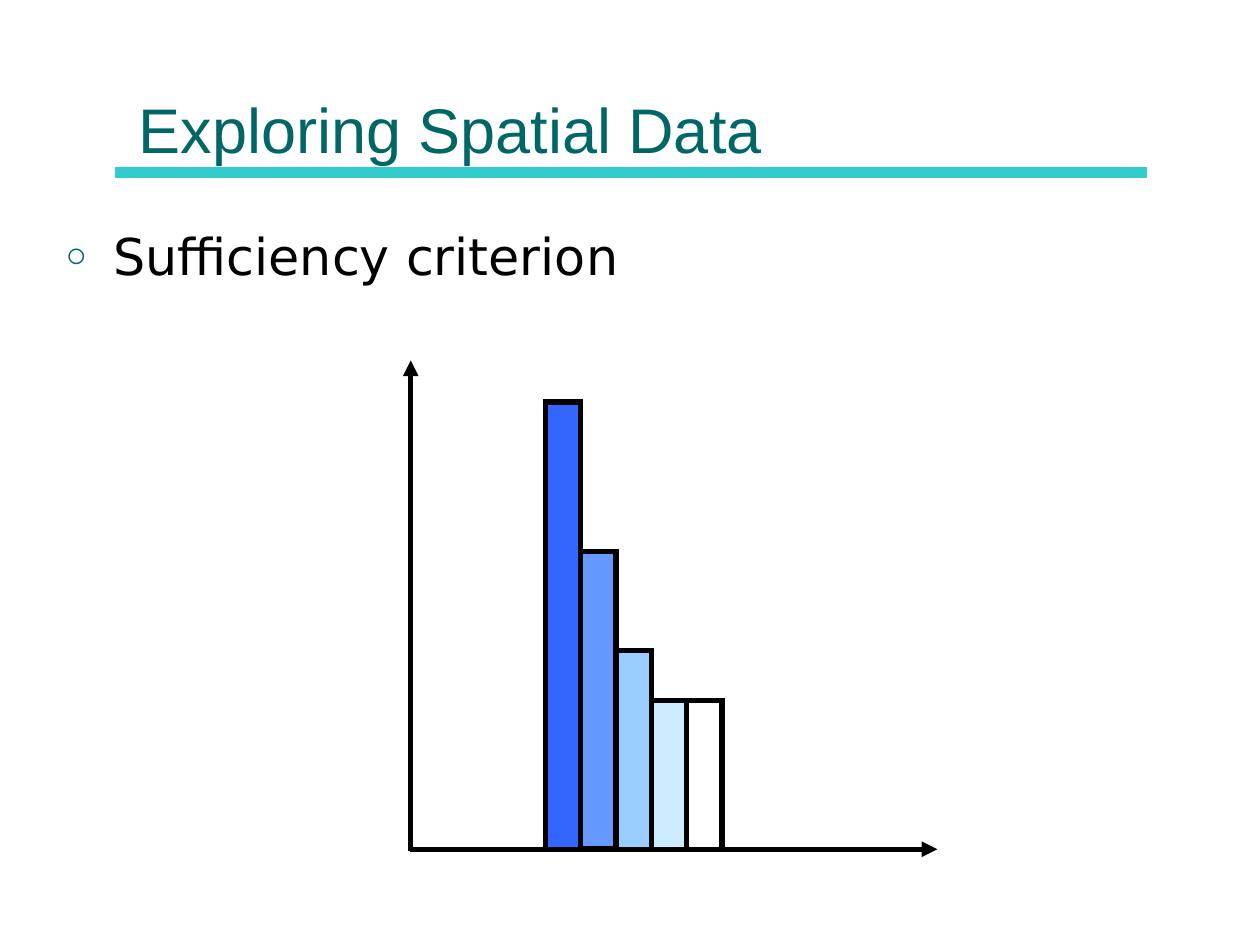
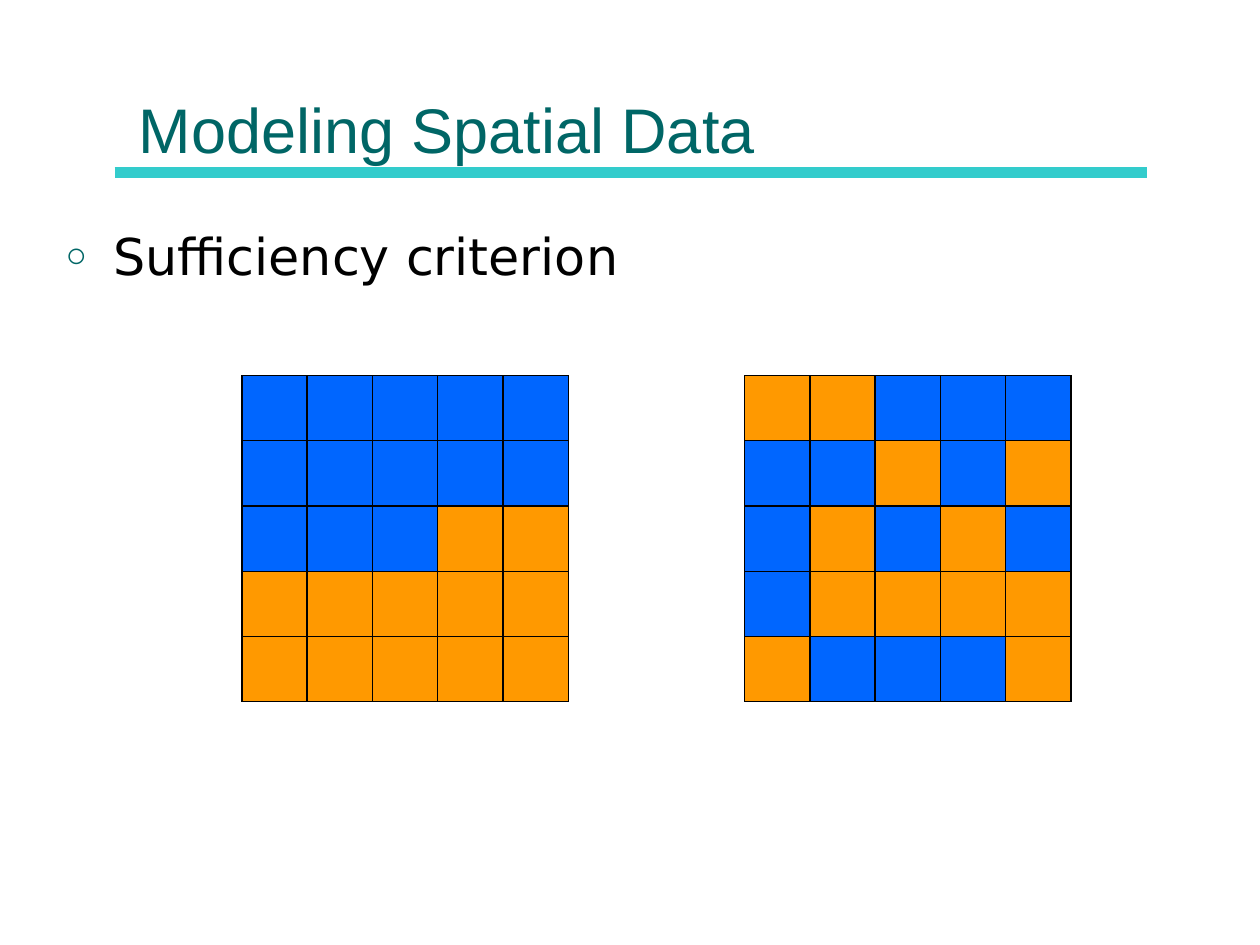
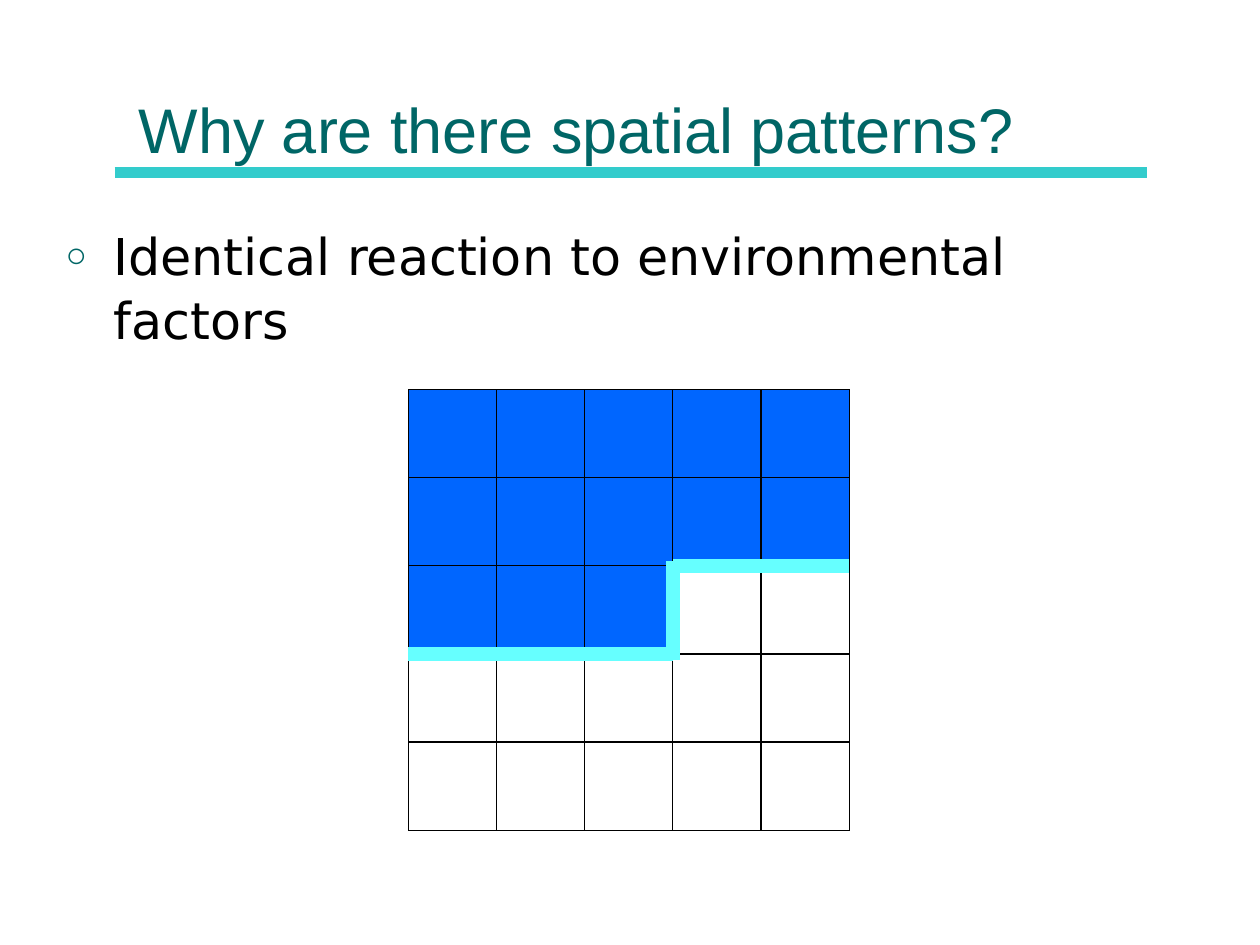
from lxml.etree import SubElement
from pptx import Presentation
from pptx.dml.color import RGBColor
from pptx.enum.shapes import MSO_CONNECTOR, MSO_SHAPE
from pptx.enum.text import MSO_ANCHOR, MSO_AUTO_SIZE, PP_ALIGN
from pptx.oxml.ns import qn
from pptx.util import Inches, Pt

TEAL = RGBColor(0x00, 0x66, 0x66)
TURQUOISE = RGBColor(0x33, 0xCC, 0xCC)
AQUA = RGBColor(0x66, 0xFF, 0xFF)
BLACK = RGBColor(0x00, 0x00, 0x00)
WHITE = RGBColor(0xFF, 0xFF, 0xFF)
BLUE = RGBColor(0x00, 0x66, 0xFF)
ORANGE = RGBColor(0xFF, 0x99, 0x00)
ROYAL = RGBColor(0x33, 0x66, 0xFF)
CORNFLOWER = RGBColor(0x66, 0x99, 0xFF)
SKY = RGBColor(0x99, 0xCC, 0xFF)
ICE = RGBColor(0xCC, 0xEC, 0xFF)

HEADINGS = [
    ("Exploring Spatial Data", "Sufficiency criterion"),
    ("Modeling Spatial Data", "Sufficiency criterion"),
    ("Why are there spatial patterns?", "Identical reaction to environmental factors"),
]

BARS = [(3.55, ROYAL), (2.36, CORNFLOWER), (1.58, SKY), (1.18, ICE), (1.18, WHITE)]
BAR_LEFT, BAR_WIDTH, BASELINE = 4.33, 0.28, 6.74
AXES = [(3.26, 6.75, 3.26, 2.86), (3.25, BASELINE, 7.44, BASELINE)]

CELL_COLOURS = {"B": BLUE, "O": ORANGE, "W": WHITE}
CLUSTERED = ["BBBBB", "BBBBB", "BBBOO", "OOOOO", "OOOOO"]
SCATTERED = ["OOBBB", "BBOBO", "BOBOB", "BOOOO", "OBBBO"]
REGION = ["BBBBB", "BBBBB", "BBBWW", "WWWWW", "WWWWW"]
BOUNDARY = [(3.24, 5.19, 5.34, 5.19), (5.34, 4.49, 6.74, 4.49), (5.34, 4.45, 5.34, 5.24)]


def write_text(box, text, *, frame, font, size, colour, anchor, bullet=False):
    box.left, box.top, box.width, box.height = map(Inches, frame)
    text_frame = box.text_frame
    text_frame.word_wrap = True
    text_frame.auto_size = MSO_AUTO_SIZE.NONE
    text_frame.vertical_anchor = anchor
    para = text_frame.paragraphs[0]
    para.alignment = PP_ALIGN.LEFT
    if bullet:
        add_bullet(para)
    para.space_before = Pt(0)
    span = para.add_run()
    span.text = text
    span.font.name = font
    span.font.size = Pt(size)
    span.font.color.rgb = colour


def add_bullet(para):
    para.line_spacing = 1.05
    properties = para._p.get_or_add_pPr()
    properties.set("marL", str(Inches(0.38)))
    properties.set("indent", str(-Inches(0.38)))
    colour = SubElement(properties, qn("a:buClr"))
    SubElement(colour, qn("a:srgbClr"), val=str(TEAL))
    SubElement(properties, qn("a:buSzPct"), val="70000")
    SubElement(properties, qn("a:buFont"), typeface="Arial")
    SubElement(properties, qn("a:buChar"), char="○")


def add_line(page, ends, colour, width, arrow=False):
    line = page.shapes.add_connector(MSO_CONNECTOR.STRAIGHT, *map(Inches, ends))
    line.line.color.rgb = colour
    line.line.width = Pt(width)
    properties = line.element.spPr
    if arrow:
        SubElement(properties.find(qn("a:ln")), qn("a:tailEnd"), type="triangle")
    SubElement(properties, qn("a:effectLst"))
    return line


def add_rectangle(page, frame, fill, line_width):
    box = page.shapes.add_shape(MSO_SHAPE.RECTANGLE, *map(Inches, frame))
    box.shadow.inherit = False
    box.fill.solid()
    box.fill.fore_color.rgb = fill
    box.line.color.rgb = BLACK
    box.line.width = Pt(line_width)
    SubElement(box.element.spPr.find(qn("a:ln")), qn("a:miter"), lim="800000")


def add_grid(page, rows, left, top, cell):
    for row, letters in enumerate(rows):
        for column, letter in enumerate(letters):
            frame = (left + column * cell, top + row * cell, cell, cell)
            add_rectangle(page, frame, CELL_COLOURS[letter], 0.75)


def add_page(deck, title, criterion):
    page = deck.slides.add_slide(deck.slide_layouts[1])
    write_text(page.shapes.title, title, frame=(1, 0.12, 8, 1.25), font="Arial",
               size=36, colour=TEAL, anchor=MSO_ANCHOR.BOTTOM)
    write_text(page.placeholders[1], criterion, frame=(0.42, 1.71, 9.13, 4.5),
               font="DejaVu Sans", size=29, colour=BLACK, anchor=MSO_ANCHOR.TOP,
               bullet=True)
    return page


def add_master_rule(deck, page):
    rule = add_line(page, (0.91, 1.37, 9.1, 1.37), TURQUOISE, 6).element
    rule.nvCxnSpPr.cNvPr.set("id", "20")
    deck.slide_master.element.cSld.spTree.append(rule)


def main():
    deck = Presentation()
    deck.slide_width, deck.slide_height = Inches(10), Inches(7.5)
    exploring, modeling, patterns = [add_page(deck, *heading) for heading in HEADINGS]
    add_master_rule(deck, exploring)

    for axis in AXES:
        add_line(exploring, axis, BLACK, 3, arrow=True)
    for index, (height, colour) in enumerate(BARS):
        frame = (BAR_LEFT + index * BAR_WIDTH, BASELINE - height, BAR_WIDTH, height)
        add_rectangle(exploring, frame, colour, 3)

    for rows, left in ((CLUSTERED, 1.92), (SCATTERED, 5.91)):
        add_grid(modeling, rows, left, 2.98, 2.59 / len(rows))

    add_grid(patterns, REGION, 3.24, 3.09, 0.7)
    for ends in BOUNDARY:
        add_line(patterns, ends, AQUA, 8)

    deck.save("out.pptx")


if __name__ == "__main__":
    main()
